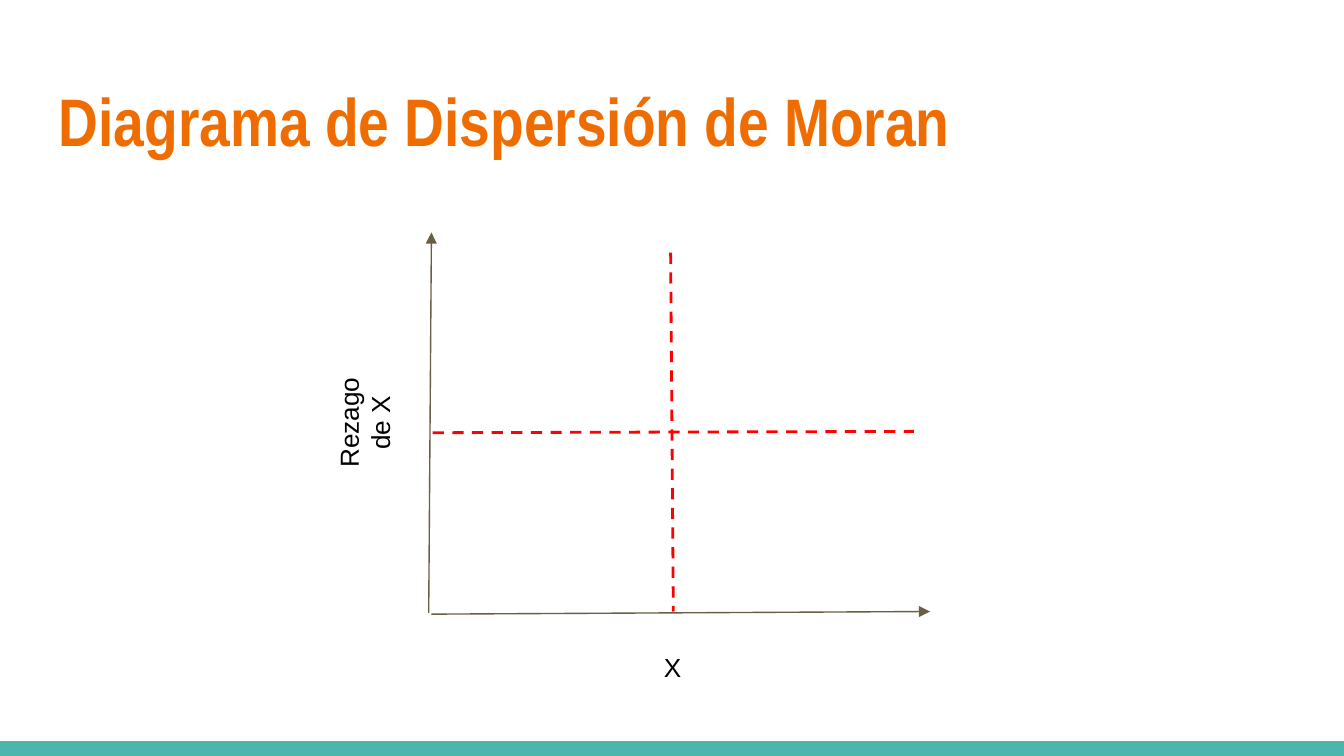
from lxml import etree
from pptx import Presentation
from pptx import util as u
from pptx.dml.color import RGBColor
from pptx.enum import dml, shapes, text
from pptx.oxml import ns

COLORS = {
    "background": "FFFFFF",
    "band": "4DB6AC",
    "title": "EF6C00",
    "mean": "FF0000",
    "axis": "695D46",
    "label": "000000",
}
WIDTH = 10
HEIGHT = WIDTH * 9 / 16
BAND_HEIGHT = 0.11


class SlideBuilder:
    inset = u.Inches(0.1)

    def __init__(self, slide):
        self.slide = slide
        fill = slide.background.fill
        fill.solid()
        fill.fore_color.rgb = self.color("background")

    def color(self, name):
        return RGBColor.from_string(COLORS[name])

    def band(self, left, top, width, height):
        shape = self.slide.shapes.add_shape(
            shapes.MSO_SHAPE.RECTANGLE,
            u.Inches(left), u.Inches(top), u.Inches(width), u.Inches(height))
        shape.shadow.inherit = False
        shape.fill.solid()
        shape.fill.fore_color.rgb = self.color("band")
        shape.line.fill.background()

    def label(self, words, left, top, width, height, size=14, font="Arial",
              color="label", bold=False, align=text.PP_ALIGN.CENTER, rotation=0):
        shape = self.slide.shapes.add_textbox(
            u.Inches(left), u.Inches(top), u.Inches(width), u.Inches(height))
        shape.rotation = rotation
        frame = shape.text_frame
        frame.word_wrap = True
        frame.vertical_anchor = text.MSO_ANCHOR.TOP
        frame.margin_left = frame.margin_right = self.inset
        frame.margin_top = frame.margin_bottom = self.inset
        paragraph = frame.paragraphs[0]
        paragraph.text = words
        paragraph.alignment = align
        paragraph.line_spacing = 1.0
        paragraph.font.size = u.Pt(size)
        paragraph.font.name = font
        paragraph.font.bold = bold
        paragraph.font.color.rgb = self.color(color)

    def line(self, start, end, color, width):
        connector = self.slide.shapes.add_connector(
            shapes.MSO_CONNECTOR.STRAIGHT,
            *(u.Inches(value) for value in (*start, *end)))
        connector.line.color.rgb = self.color(color)
        connector.line.width = u.Pt(width)
        etree.SubElement(connector._element.spPr, ns.qn("a:effectLst"))
        return connector

    def mean_line(self, start, end):
        connector = self.line(start, end, "mean", 1.5)
        connector.line.dash_style = dml.MSO_LINE.DASH

    def axis(self, start, end):
        connector = self.line(start, end, "axis", 0.75)
        outline = connector.line._get_or_add_ln()
        etree.SubElement(outline, ns.qn("a:tailEnd"), type="triangle")


def main():
    presentation = Presentation()
    presentation.slide_width = u.Inches(WIDTH)
    presentation.slide_height = u.Inches(HEIGHT)
    builder = SlideBuilder(
        presentation.slides.add_slide(presentation.slide_layouts[6]))

    builder.band(0, HEIGHT - BAND_HEIGHT, WIDTH, BAND_HEIGHT)
    builder.label("Diagrama de Dispersión de Moran", 0.34, 0.49, 9.32, 0.77,
                  size=36, font="Arial Narrow", color="title", bold=True,
                  align=text.PP_ALIGN.LEFT)
    builder.mean_line((3.22, 3.22), (6.8, 3.21))
    builder.mean_line((4.99, 1.88), (5.01, 4.55))
    builder.axis((3.19, 4.56), (3.21, 1.73))
    builder.axis((3.21, 4.57), (6.92, 4.55))
    builder.label("X", 4.46, 4.75, 1.09, 0.25)
    builder.label("Rezago de X", 2.08, 2.97, 0.94, 0.35, rotation=270)

    presentation.save("out.pptx")


if __name__ == "__main__":
    main()
